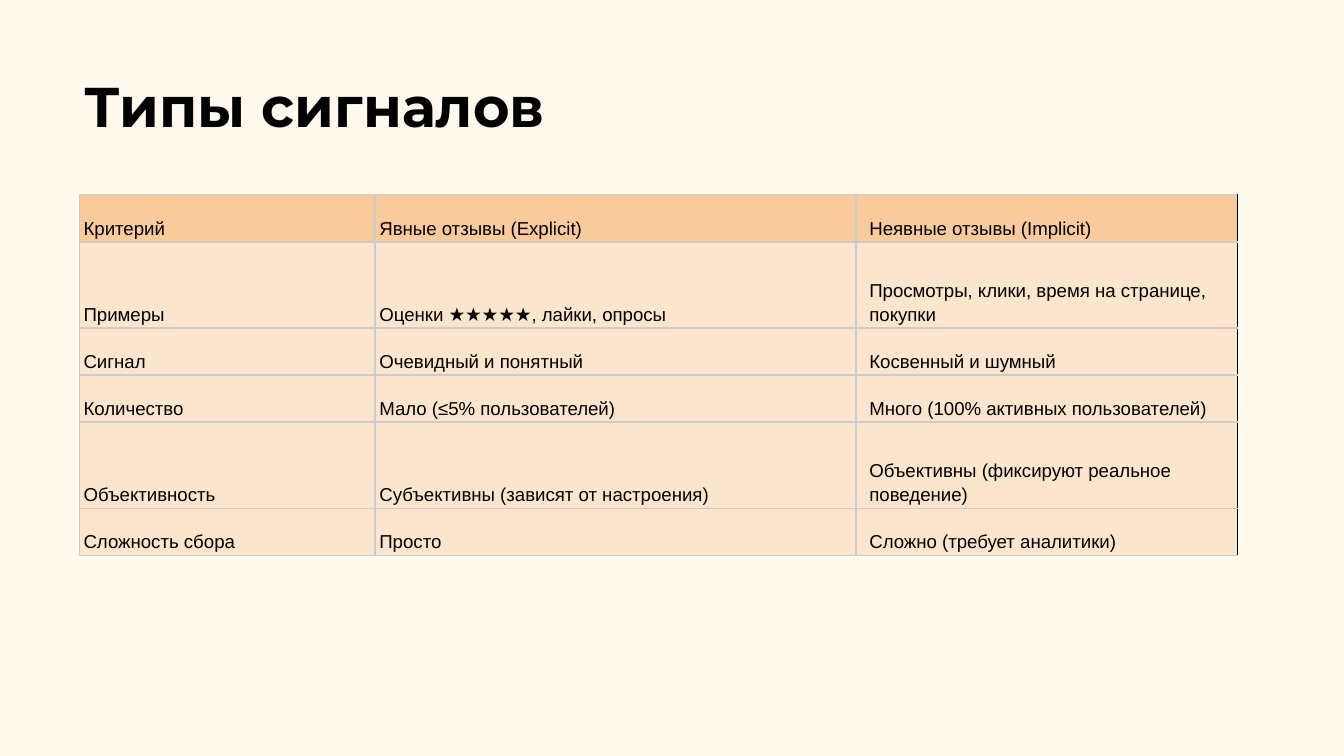
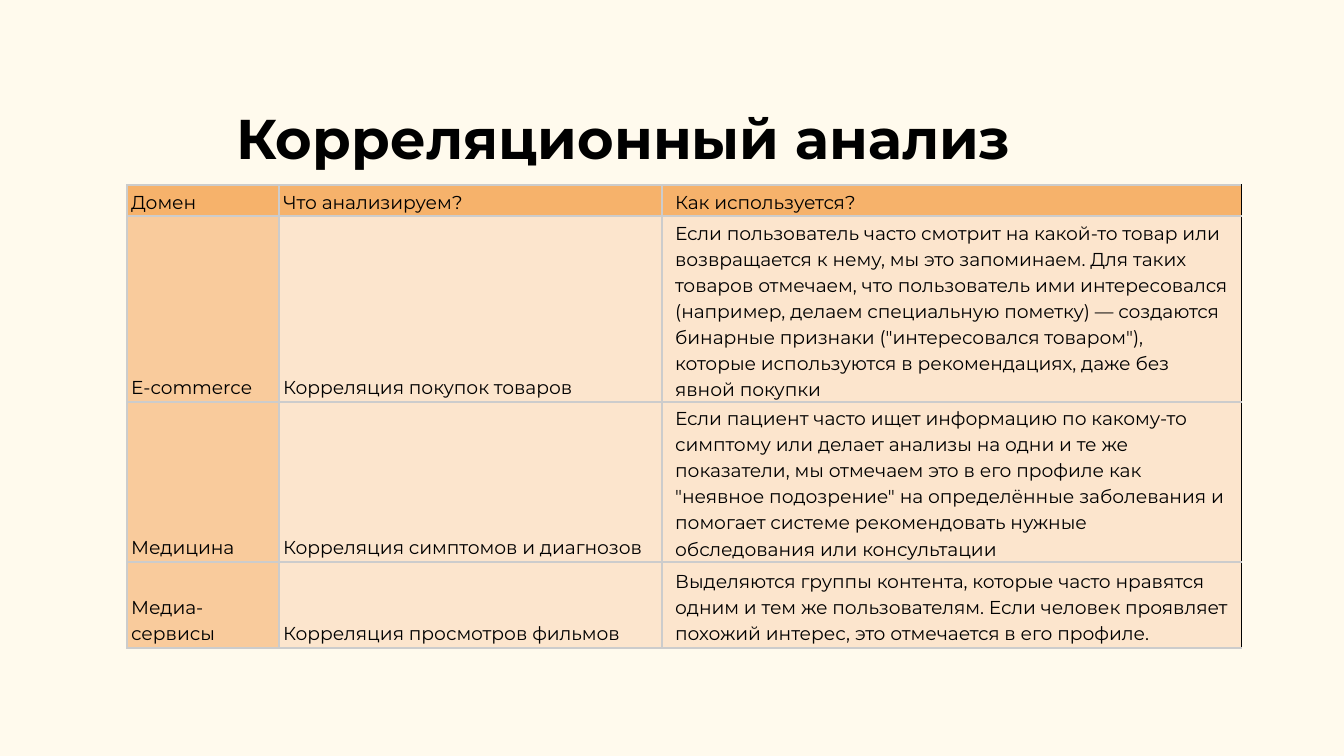
import dataclasses

import pptx
import pptx.dml.color
import pptx.enum.text
import pptx.oxml
import pptx.oxml.ns
import pptx.util
from pptx.util import Cm


@dataclasses.dataclass(frozen=True)
class Theme:
    background: str = "FFFAED"
    ink: str = "000000"
    grid: str = "CCCCCC"
    strong: str = "F6B26B"
    medium: str = "F9CB9C"
    light: str = "FCE5CD"
    title_font: str = "Montserrat"
    title_size: int = 30
    cell_size: int = 10
    cell_spacing: float = 1.15
    border: int = 1


THEME = Theme()

# Content; all lengths are in centimetres
SLIDES = [
    {
        "title": "Типы сигналов",
        "title_box": (1.5, 1.4, 21, 1.35),
        "title_inset": 0.1,
        "title_spacing": 0.9,
        "table_at": (1.5, 3.68),
        "columns": (5.59, 9.09, 7.21),
        "heights": (0.89, 1.63, 0.89, 0.89, 1.63, 0.89),
        "font": "Arial",
        "header_fill": THEME.medium,
        "label_fill": THEME.light,
        "rows": [
            ("Критерий", "Явные отзывы (Explicit)", "Неявные отзывы (Implicit)"),
            ("Примеры", "Оценки ★★★★★, лайки, опросы",
             "Просмотры, клики, время на странице, покупки"),
            ("Сигнал", "Очевидный и понятный", "Косвенный и шумный"),
            ("Количество", "Мало (≤5% пользователей)",
             "Много (100% активных пользователей)"),
            ("Объективность", "Субъективны (зависят от настроения)",
             "Объективны (фиксируют реальное поведение)"),
            ("Сложность сбора", "Просто", "Сложно (требует аналитики)"),
        ],
    },
    {
        "title": "Корреляционный анализ",
        "title_box": (4.22, 1.7, 16.69, 1.8),
        "title_inset": 0.25,
        "title_spacing": 1.0,
        "table_at": (2.4, 3.5),
        "columns": (2.87, 7.24, 10.95),
        "heights": (0.51, 1.35, 1.35, 1.63),
        "font": "Montserrat",
        "header_fill": THEME.strong,
        "label_fill": THEME.medium,
        "rows": [
            ("Домен", "Что анализируем?", "Как используется?"),
            ("E-commerce", "Корреляция покупок товаров",
             "Если пользователь часто смотрит на какой-то товар или возвращается "
             "к нему, мы это запоминаем. Для таких товаров отмечаем, что "
             "пользователь ими интересовался (например, делаем специальную "
             "пометку) — создаются бинарные признаки (\"интересовался товаром\"), "
             "которые используются в рекомендациях, даже без явной покупки"),
            ("Медицина", "Корреляция симптомов и диагнозов",
             "Если пациент часто ищет информацию по какому-то симптому или "
             "делает анализы на одни и те же показатели, мы отмечаем это в его "
             "профиле как \"неявное подозрение\" на определённые заболевания и "
             "помогает системе рекомендовать нужные обследования или консультации"),
            ("Медиа-сервисы", "Корреляция просмотров фильмов",
             "Выделяются группы контента, которые часто нравятся одним и тем же "
             "пользователям. Если человек проявляет похожий интерес, это "
             "отмечается в его профиле."),
        ],
    },
]


def paint(fill, color):
    fill.solid()
    fill.fore_color.rgb = pptx.dml.color.RGBColor.from_string(color)


def style_text(para, font, size, spacing, bold=False):
    para.alignment = pptx.enum.text.PP_ALIGN.LEFT
    para.line_spacing = spacing
    for span in para.runs:
        span.font.name = font
        span.font.size = pptx.util.Pt(size)
        span.font.bold = bold
        span.font.color.rgb = pptx.dml.color.RGBColor.from_string(THEME.ink)


def set_borders(cell, right_color):
    properties = cell._tc.get_or_add_tcPr()
    colors = {"L": THEME.grid, "R": right_color, "T": THEME.grid, "B": THEME.grid}
    for side, color in colors.items():
        properties.append(pptx.oxml.parse_xml(
            f'<a:ln{side} {pptx.oxml.ns.nsdecls("a")} w="{pptx.util.Pt(THEME.border)}">'
            f'<a:solidFill><a:srgbClr val="{color}"/></a:solidFill></a:ln{side}>'))


def add_title(page, content):
    title = page.shapes.title
    title.left, title.top, title.width, title.height = map(Cm, content["title_box"])
    frame = title.text_frame
    frame.text = content["title"]
    frame.word_wrap = True
    frame.auto_size = pptx.enum.text.MSO_AUTO_SIZE.SHAPE_TO_FIT_TEXT
    frame.vertical_anchor = pptx.enum.text.MSO_ANCHOR.TOP
    inset = Cm(content["title_inset"])
    frame.margin_left = frame.margin_right = inset
    frame.margin_top = frame.margin_bottom = inset
    style_text(frame.paragraphs[0], THEME.title_font, THEME.title_size,
               content["title_spacing"], bold=True)


def add_grid(page, content):
    rows, columns, heights = content["rows"], content["columns"], content["heights"]
    left, top = content["table_at"]
    table = page.shapes.add_table(len(rows), len(columns), Cm(left), Cm(top),
                                  Cm(sum(columns)), Cm(sum(heights))).table
    table.first_row = table.horz_banding = False
    for column, width in zip(table.columns, columns):
        column.width = Cm(width)
    for row, height in zip(table.rows, heights):
        row.height = Cm(height)

    for row_index, texts in enumerate(rows):
        for column_index, text in enumerate(texts):
            is_last = column_index == len(columns) - 1
            cell = table.cell(row_index, column_index)
            cell.text = text
            cell.vertical_anchor = pptx.enum.text.MSO_ANCHOR.BOTTOM
            cell.margin_left = cell.margin_right = Cm(0.25 if is_last else 0.08)
            cell.margin_top = cell.margin_bottom = Cm(0.05)
            style_text(cell.text_frame.paragraphs[0], content["font"],
                       THEME.cell_size, THEME.cell_spacing)
            set_borders(cell, THEME.ink if is_last else THEME.grid)
            if row_index == 0:
                color = content["header_fill"]
            elif column_index == 0:
                color = content["label_fill"]
            else:
                color = THEME.light
            paint(cell.fill, color)


def main():
    deck = pptx.Presentation()
    deck.slide_width, deck.slide_height = Cm(25.4), Cm(14.29)
    paint(deck.slide_master.background.fill, THEME.background)
    title_only = deck.slide_layouts.get_by_name("Title Only")
    for content in SLIDES:
        page = deck.slides.add_slide(title_only)
        add_title(page, content)
        add_grid(page, content)
    deck.save("out.pptx")


if __name__ == "__main__":
    main()
